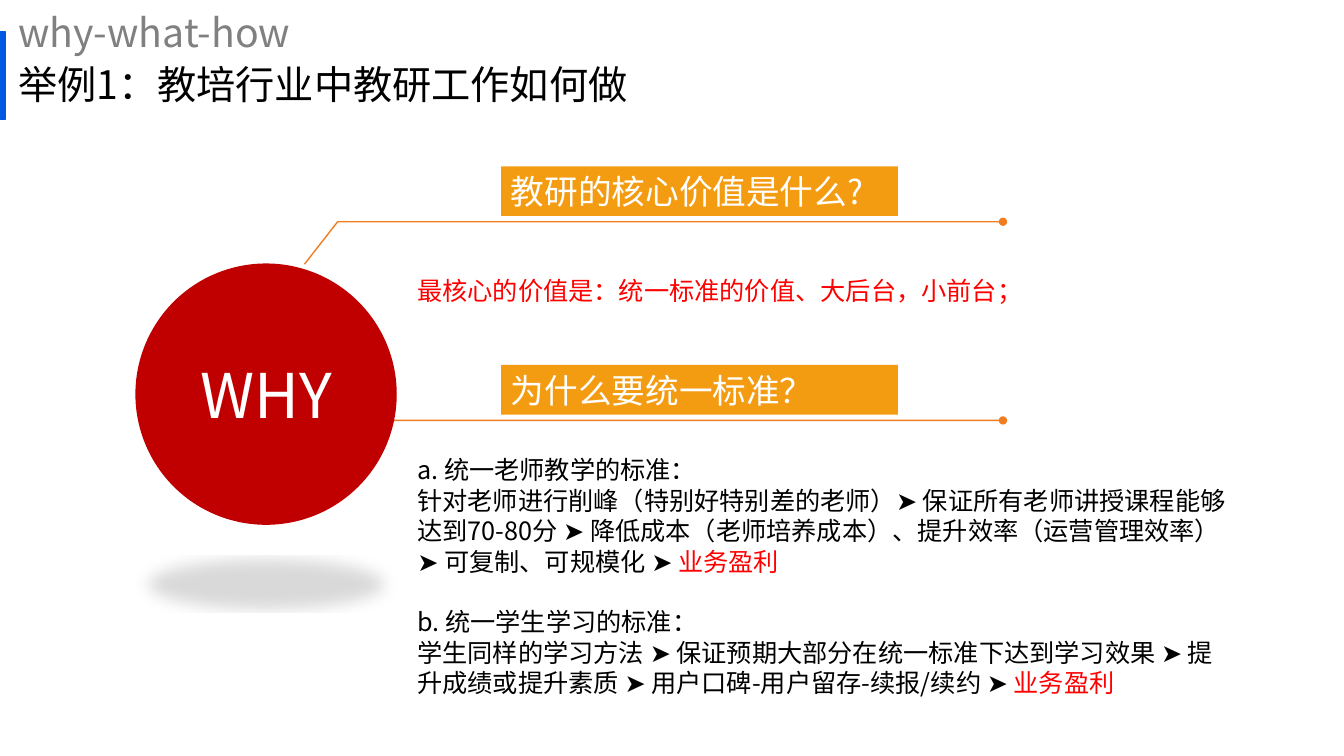
from lxml.etree import SubElement
from pptx import Presentation
from pptx.dml.color import RGBColor
from pptx.enum.shapes import MSO_SHAPE
from pptx.enum.text import MSO_ANCHOR, PP_ALIGN
from pptx.oxml import parse_xml
from pptx.oxml.ns import nsdecls, qn
from pptx.util import Inches, Pt

SHADOW = (
    f'<a:effectLst {nsdecls("a")}><a:outerShdw blurRad="152400" dist="317500" '
    'dir="5400000" sx="90000" sy="-19000" rotWithShape="0"><a:srgbClr val="000000">'
    '<a:alpha val="15000"/></a:srgbClr></a:outerShdw></a:effectLst>'
)


def rgb(value):
    return RGBColor.from_string(value)


class Deck:
    """Draws styled elements on a slide divided into 32 columns and 18 rows."""

    font = "Noto Sans CJK SC"
    blue, red, orange, amber = "0057E1", "C00000", "F27D21", "F39C12"
    black, grey, white, accent = "000000", "808080", "FFFFFF", "FF0000"

    def __init__(self):
        self.prs = Presentation()
        self.prs.slide_width, self.prs.slide_height = Inches(13.33), Inches(7.5)
        self.col, self.row = self.prs.slide_width / 32, self.prs.slide_height / 18
        self.slide = self.prs.slides.add_slide(self.prs.slide_layouts[6])

    def box(self, x, y, w, h):
        return [round(n) for n in (x * self.col, y * self.row, w * self.col, h * self.row)]

    def fill_text(self, sp, paragraphs, size, frame=None, para=None):
        tf = sp.text_frame
        for name, value in {"word_wrap": True, **(frame or {})}.items():
            setattr(tf, name, value)
        for i, (runs, before) in enumerate(paragraphs):
            p = tf.add_paragraph() if i else tf.paragraphs[0]
            for name, value in {"alignment": PP_ALIGN.LEFT, **(para or {})}.items():
                setattr(p, name, value)
            if before:
                p.space_before = Pt(before)
            for text, color in runs:
                r = p.add_run()
                r.text = text
                for name, value in {"size": Pt(size), "name": self.font}.items():
                    setattr(r.font, name, value)
                r.font.color.rgb = rgb(color)
                SubElement(r._r.rPr, qn("a:ea"), typeface=self.font)

    def text(self, x, y, w, h, paragraphs, size, frame=None, para=None):
        sp = self.slide.shapes.add_textbox(*self.box(x, y, w, h))
        self.fill_text(sp, paragraphs, size, frame, para)

    def heading(self, y, text, color):
        self.text(0.2, y, 27.6, 1.58, [([(text, color)], 0)], 28,
                  {"vertical_anchor": MSO_ANCHOR.MIDDLE}, {"line_spacing": 0.9})

    def body(self, y, w, h, paragraphs):
        self.text(9.7, y, w, h, paragraphs, 18, para={"line_spacing": Pt(21.75)})

    def shape(self, kind, x, y, w, h, fill, line=None):
        sp = self.slide.shapes.add_shape(kind, *self.box(x, y, w, h))
        sp.shadow.inherit = False
        sp.fill.solid()
        sp.fill.fore_color.rgb = rgb(fill)
        if line:
            sp.line.color.rgb = rgb(line)
            sp.line.width = Pt(1)
        else:
            sp.line.fill.background()
        return sp

    def circle(self, x, y, d, text):
        sp = self.shape(MSO_SHAPE.OVAL, x, y, d, d, self.red, self.red)
        props = sp._element.spPr
        props.replace(props.find(qn("a:effectLst")), parse_xml(SHADOW))
        self.fill_text(sp, [([(text, self.white)], 0)], 44,
                       {"vertical_anchor": MSO_ANCHOR.MIDDLE}, {"alignment": PP_ALIGN.CENTER})

    def question(self, y, text):
        sp = self.shape(MSO_SHAPE.RECTANGLE, 11.93, y, 9.45, 1.18, self.amber)
        self.fill_text(sp, [([(text, self.white)], 0)], 24,
                       {"vertical_anchor": MSO_ANCHOR.MIDDLE, "word_wrap": False,
                        "margin_top": 0, "margin_bottom": 0})

    def leader(self, y):
        start, *rest = [(round(x * self.col), round(v * self.row))
                        for x, v in ((7.25, y + 1.01), (8.04, y), (23.88, y))]
        builder = self.slide.shapes.build_freeform(*start)
        builder.add_line_segments(rest, close=False)
        sp = builder.convert_to_shape()
        sp.shadow.inherit = False
        sp.fill.background()
        sp.line.color.rgb = rgb(self.orange)
        sp.line.width = Pt(1)
        SubElement(sp._element.spPr.find(qn("a:ln")), qn("a:tailEnd"), type="oval")


def main():
    d = Deck()
    first, step = 3.96, 4.73
    lead = 1.32
    profit = ("业务盈利", d.accent)
    d.shape(MSO_SHAPE.RECTANGLE, 0, 0.75, 0.12, 2.1, d.blue, d.blue)
    d.leader(first + step + lead)
    d.heading(1.27, "举例1：教培行业中教研工作如何做", d.black)
    d.circle(3.24, 6.29, 6.19, "WHY")
    d.leader(first + lead)
    d.question(first, "教研的核心价值是什么?")
    d.body(6.43, 15.07, 0.96, [
        ([("最核心的价值是：统一标准的价值、大后台，小前台；", d.accent)], 0)])
    d.question(first + step, "为什么要统一标准？")
    d.body(10.7, 19.73, 6.05, [
        ([("a. 统一老师教学的标准：", d.black)], 0),
        ([("针对老师进行削峰（特别好特别差的老师）➤ 保证所有老师讲授课程能够"
           "达到70-80分 ➤ 降低成本（老师培养成本）、提升效率（运营管理效率）"
           "➤ 可复制、可规模化 ➤ ", d.black), profit], 0),
        ([("b. 统一学生学习的标准：", d.black)], 21.75),
        ([("学生同样的学习方法 ➤ 保证预期大部分在统一标准下达到学习效果 ➤ "
           "提升成绩或提升素质 ➤ 用户口碑-用户留存-续报/续约 ➤ ", d.black), profit], 0),
    ])
    d.heading(0.05, "why-what-how", d.grey)
    d.prs.save("out.pptx")


if __name__ == "__main__":
    main()
